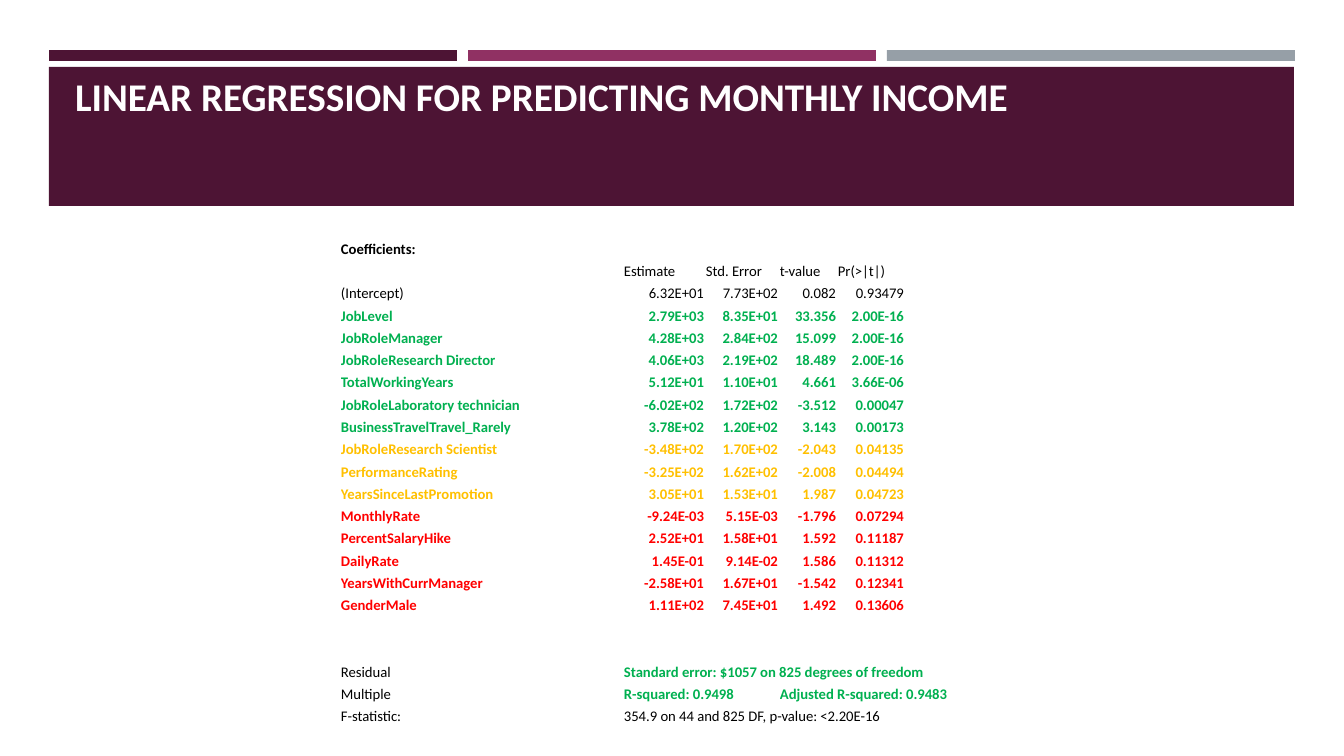
from lxml.etree import SubElement
from pptx import Presentation
from pptx.dml.color import RGBColor
from pptx.enum.shapes import MSO_SHAPE
from pptx.enum.text import MSO_ANCHOR, MSO_AUTO_SIZE, PP_ALIGN
from pptx.oxml.ns import qn
from pptx.util import Pt

FONT = "Calibri"
PLUM, MAGENTA, GREY, WHITE, BLACK = "4D1434", "903163", "969FA7", "FFFFFF", "000000"
GREEN, AMBER, RED = "00B050", "FFC000", "FF0000"
CELL_SIZE = 10.5
COLUMN_WIDTHS = [283, 82, 74, 58, 68, 33, 40, 26]
HEADERS = ["Estimate", "Std. Error", "t-value", "Pr(>|t|)"]
COEFFICIENTS = [
    (BLACK, "(Intercept)", "6.32E+01", "7.73E+02", "0.082", "0.93479"),
    (GREEN, "JobLevel", "2.79E+03", "8.35E+01", "33.356", "2.00E-16"),
    (GREEN, "JobRoleManager", "4.28E+03", "2.84E+02", "15.099", "2.00E-16"),
    (GREEN, "JobRoleResearch Director", "4.06E+03", "2.19E+02", "18.489", "2.00E-16"),
    (GREEN, "TotalWorkingYears", "5.12E+01", "1.10E+01", "4.661", "3.66E-06"),
    (GREEN, "JobRoleLaboratory technician", "-6.02E+02", "1.72E+02", "-3.512", "0.00047"),
    (GREEN, "BusinessTravelTravel_Rarely", "3.78E+02", "1.20E+02", "3.143", "0.00173"),
    (AMBER, "JobRoleResearch Scientist", "-3.48E+02", "1.70E+02", "-2.043", "0.04135"),
    (AMBER, "PerformanceRating", "-3.25E+02", "1.62E+02", "-2.008", "0.04494"),
    (AMBER, "YearsSinceLastPromotion", "3.05E+01", "1.53E+01", "1.987", "0.04723"),
    (RED, "MonthlyRate", "-9.24E-03", "5.15E-03", "-1.796", "0.07294"),
    (RED, "PercentSalaryHike", "2.52E+01", "1.58E+01", "1.592", "0.11187"),
    (RED, "DailyRate", "1.45E-01", "9.14E-02", "1.586", "0.11312"),
    (RED, "YearsWithCurrManager", "-2.58E+01", "1.67E+01", "-1.542", "0.12341"),
    (RED, "GenderMale", "1.11E+02", "7.45E+01", "1.492", "0.13606"),
]
SUMMARY = [
    ("Residual", [(1, 6, "Standard error: $1057 on 825 degrees of freedom", GREEN)]),
    ("Multiple", [(1, 2, "R-squared: 0.9498", GREEN),
                  (3, 7, "Adjusted R-squared: 0.9483", GREEN)]),
    ("F-statistic:", [(1, 5, "354.9 on 44 and 825 DF, p-value: <2.20E-16", BLACK)]),
]
COEFFICIENTS_TOP = 2
SUMMARY_TOP = COEFFICIENTS_TOP + len(COEFFICIENTS) + 2


def px(n):
    """Turn pixels into EMU."""
    return round(n * 914400 / 100.8)


def rgb(value):
    """Turn a hex string into a colour."""
    return RGBColor.from_string(value)


def style(p, size, color, bold=False, align=PP_ALIGN.LEFT):
    """Format a whole paragraph."""
    p.alignment = align
    p.font.name = FONT
    p.font.size = Pt(size)
    p.font.bold = bold
    p.font.color.rgb = rgb(color)


def add_bar(s, x, y, w, h, color):
    """Add a plain filled rectangle."""
    sp = s.shapes.add_shape(MSO_SHAPE.RECTANGLE, px(x), px(y), px(w), px(h))
    sp.shadow.inherit = False
    sp.fill.solid()
    sp.fill.fore_color.rgb = rgb(color)
    sp.line.fill.background()


def set_title(s, text):
    """Place the title in front of the band and format it."""
    title = s.shapes.title
    s.shapes._spTree.append(title._element)
    title.left, title.top, title.width, title.height = px(65), px(15), px(1216), px(109)
    tf = title.text_frame
    tf.text = text
    tf.word_wrap = True
    tf.auto_size = MSO_AUTO_SIZE.NONE
    tf.vertical_anchor = MSO_ANCHOR.BOTTOM
    style(tf.paragraphs[0], 28, WHITE, True)


def add_grid(s):
    """Add the empty unfilled table."""
    rows = SUMMARY_TOP + len(SUMMARY)
    table = s.shapes.add_table(rows, len(COLUMN_WIDTHS), px(340), px(236),
                               px(sum(COLUMN_WIDTHS)), px(490)).table
    table.first_row = table.horz_banding = False
    for column, width in zip(table.columns, COLUMN_WIDTHS):
        column.width = px(width)
    for cell in table.iter_cells():
        cell.fill.background()
        cell.vertical_anchor = MSO_ANCHOR.BOTTOM
        cell.margin_left = cell.margin_right = cell.margin_top = px(1)
        cell.margin_bottom = 0
        p = cell.text_frame.paragraphs[0]
        SubElement(p._p, qn("a:endParaRPr"), sz=str(round(CELL_SIZE * 100)))
    return table


def write(cell, text, color=BLACK, bold=False, align=PP_ALIGN.LEFT):
    """Write one table cell."""
    p = cell.text_frame.paragraphs[0]
    p.add_run().text = text
    style(p, CELL_SIZE, color, bold, align)


def fill_coefficients(table):
    """Write the headings and the coefficient rows."""
    write(table.cell(0, 0), "Coefficients:", bold=True)
    for col, header in enumerate(HEADERS, 1):
        write(table.cell(1, col), header)
    for row, (color, *values) in enumerate(COEFFICIENTS, COEFFICIENTS_TOP):
        for col, value in enumerate(values):
            align = PP_ALIGN.RIGHT if col else PP_ALIGN.LEFT
            write(table.cell(row, col), value, color, color != BLACK, align)


def fill_summary(table):
    """Write the model summary in merged cells."""
    for row, (label, spans) in enumerate(SUMMARY, SUMMARY_TOP):
        write(table.cell(row, 0), label)
        for first, last, text, color in spans:
            cell = table.cell(row, first)
            cell.merge(table.cell(row, last))
            write(cell, text, color, color != BLACK)


def main():
    """Build and save the slide."""
    prs = Presentation()
    prs.slide_width, prs.slide_height = px(1344), px(756)
    s = prs.slides.add_slide(prs.slide_layouts[5])
    for i, color in enumerate([PLUM, MAGENTA, GREY]):
        add_bar(s, 49 + i * 419, 50, 408, 11, color)
    add_bar(s, 49, 67, 1245, 139, PLUM)
    set_title(s, "LINEAR REGRESSION FOR PREDICTING MONTHLY INCOME")
    table = add_grid(s)
    fill_coefficients(table)
    fill_summary(table)
    prs.save("out.pptx")


if __name__ == "__main__":
    main()
